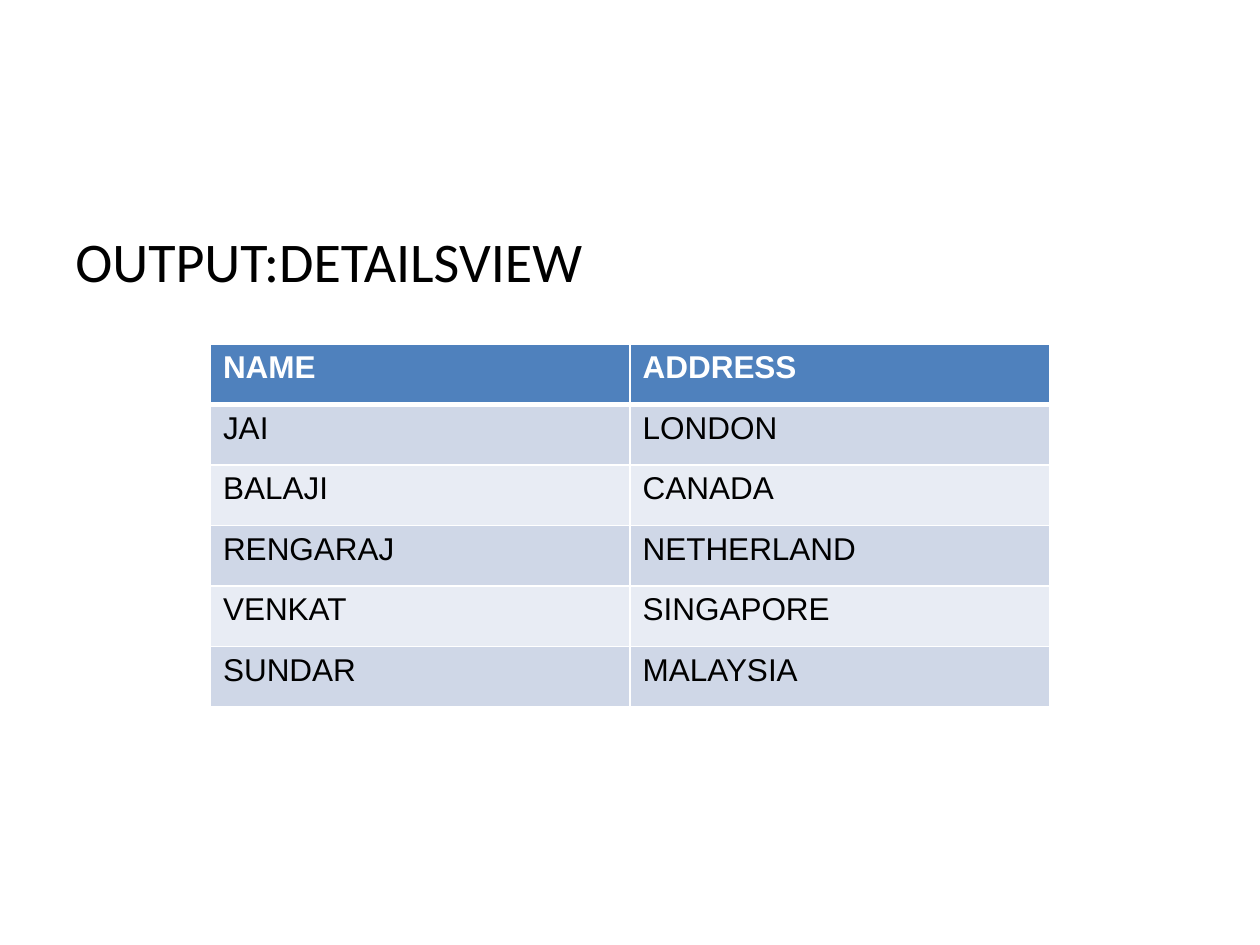
from lxml import etree
from pptx import Presentation
from pptx import util as u
from pptx.dml.color import RGBColor
from pptx.enum import text
from pptx.oxml import ns

PX = 9144  # 100 px to the inch
WHITE = RGBColor(0xFF, 0xFF, 0xFF)
BLACK = RGBColor(0x00, 0x00, 0x00)
HEADER_BLUE = RGBColor(0x4F, 0x81, 0xBD)
BAND_COLOURS = [RGBColor(0xCF, 0xD7, 0xE7), RGBColor(0xE8, 0xEC, 0xF4)]

HEADING = "OUTPUT:DETAILSVIEW"
DETAILS = [
    ("NAME", "ADDRESS"),
    ("JAI", "LONDON"),
    ("BALAJI", "CANADA"),
    ("RENGARAJ", "NETHERLAND"),
    ("VENKAT", "SINGAPORE"),
    ("SUNDAR", "MALAYSIA"),
]


def px(*lengths):
    return [u.Emu(length * PX) for length in lengths]


def style_paragraph(paragraph, font_name, size, colour, bold=False):
    font = paragraph.font
    font.name = font_name
    font.size = u.Pt(size)
    font.color.rgb = colour
    font.bold = bold


def add_border(cell, side, points):
    """Draw a white line on one side of a cell: L, R, T or B."""
    line = etree.SubElement(cell._tc.get_or_add_tcPr(), ns.qn(f"a:ln{side}"),
                            w=str(u.Pt(points)))
    fill = etree.SubElement(line, ns.qn("a:solidFill"))
    etree.SubElement(fill, ns.qn("a:srgbClr"), val=str(WHITE))


def add_heading(slide, left, top, width, height):
    frame = slide.shapes.add_textbox(*px(left, top, width, height)).text_frame
    frame.word_wrap = True
    frame.vertical_anchor = text.MSO_ANCHOR.TOP
    frame.text = HEADING
    style_paragraph(frame.paragraphs[0], "Calibri", 32, BLACK)


def add_details_table(slide, left, top, width, height):
    row_count, column_count = len(DETAILS), len(DETAILS[0])
    table = slide.shapes.add_table(row_count, column_count,
                                   *px(left, top, width, height)).table
    for row, values in enumerate(DETAILS):
        is_header = row == 0
        for column, value in enumerate(values):
            cell = table.cell(row, column)
            for side in "LRTB":
                heavy = (row, side) in [(0, "B"), (1, "T")]
                add_border(cell, side, 3 if heavy else 1)
            cell.fill.solid()
            cell.fill.fore_color.rgb = (
                HEADER_BLUE if is_header else BAND_COLOURS[(row - 1) % 2])
            cell.text = value
            style_paragraph(cell.text_frame.paragraphs[0], "Arial", 18,
                            WHITE if is_header else BLACK, is_header)


def main():
    deck = Presentation()
    deck.slide_width, deck.slide_height = px(1000, 750)
    slide = deck.slides.add_slide(deck.slide_layouts[6])
    add_heading(slide, 50, 175, 900, 495)
    add_details_table(slide, 167, 273, 666, 288)
    deck.save("out.pptx")


if __name__ == "__main__":
    main()
